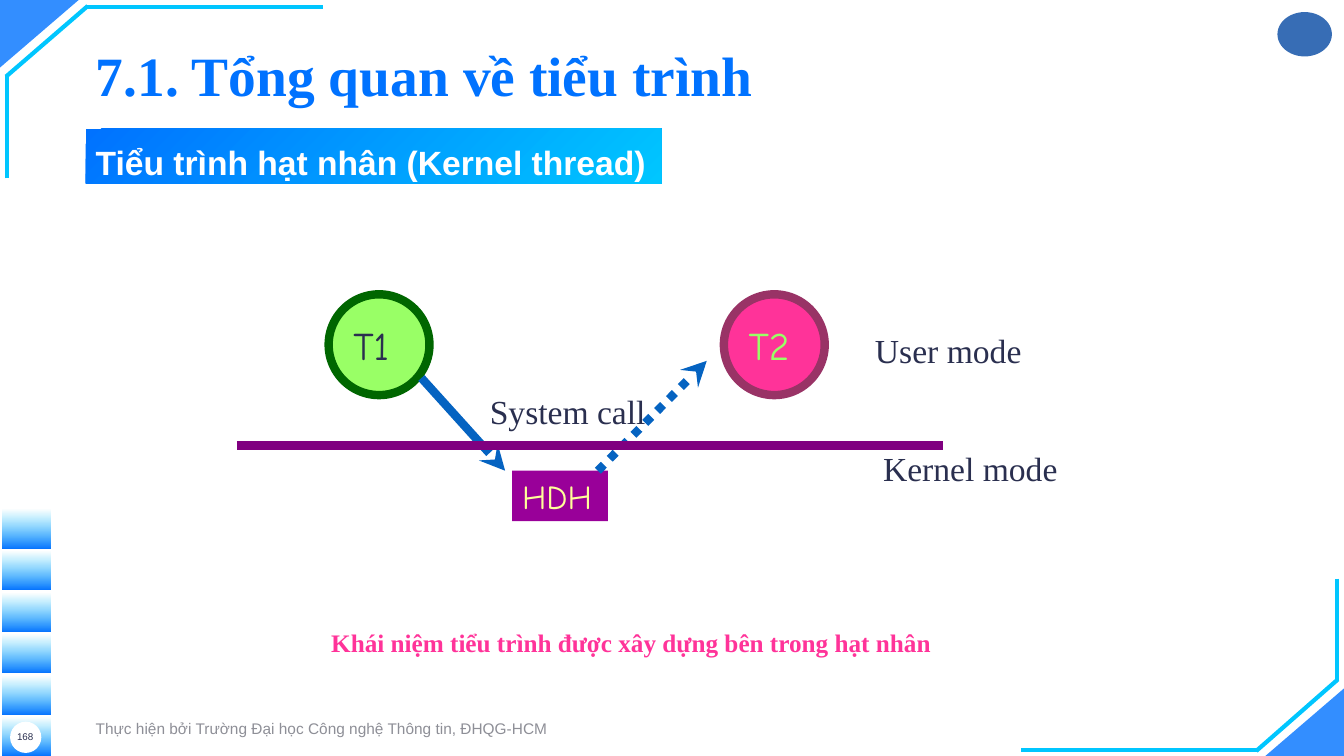
from dataclasses import dataclass
from typing import Optional

from lxml.etree import SubElement
from pptx import Presentation
from pptx.dml.color import RGBColor
from pptx.enum.dml import MSO_LINE as Dash
from pptx.enum.shapes import MSO_CONNECTOR as Connector, MSO_SHAPE as Preset
from pptx.enum.text import MSO_ANCHOR as Anchor, MSO_AUTO_SIZE as AutoSize, PP_ALIGN as Align
from pptx.oxml.ns import qn
from pptx.util import Inches, Pt

COLORS = {
    "blue": "0072FF", "cyan": "00C6FF", "emblem": "376DB5", "white": "FFFFFF",
    "ink": "2A2F4F", "gray": "8E8F97", "pink": "FF3399", "plum": "993366",
    "lime": "99FF66", "green": "006600", "violet": "990099", "purple": "800080",
    "yellow": "FFFF99", "arrow": "0563C1",
}
SERIF, SANS, COMIC = "Times New Roman", "Arial", "Comic Neue"


@dataclass
class Block:
    """A filled preset shape; a second fill colour makes a gradient."""
    box: tuple
    fill: str
    preset: Preset = Preset.RECTANGLE
    fill_to: Optional[str] = None
    angle: float = 0
    outline: Optional[str] = None


@dataclass
class Stroke:
    start: tuple
    end: tuple
    color: str = "cyan"
    width: float = 3
    dash: Optional[Dash] = None
    arrow: bool = False


@dataclass
class Label:
    text: str
    size: float
    color: str
    font: str = SERIF
    bold: bool = False
    align: Align = Align.LEFT
    anchor: Anchor = Anchor.TOP
    wrap: bool = False


def rgb(name: str) -> RGBColor:
    return RGBColor.from_string(COLORS[name])


def fill_gradient(fill, first: str, last: str, angle: float) -> None:
    fill.gradient()
    fill.gradient_angle = angle
    for stop, name in zip(fill.gradient_stops, (first, last)):
        stop.color.rgb = rgb(name)


def set_opacity(shape, percent: int) -> None:
    """Apply the opacity to the last colour of the shape's fill."""
    color = shape._element.spPr.findall(".//" + qn("a:srgbClr"))[-1]
    SubElement(color, qn("a:alpha")).set("val", str(percent * 1000))


def draw_block(slide, block: Block):
    shape = slide.shapes.add_shape(block.preset, *map(Inches, block.box))
    shape.shadow.inherit = False
    if block.fill_to:
        fill_gradient(shape.fill, block.fill, block.fill_to, block.angle)
    else:
        shape.fill.solid()
        shape.fill.fore_color.rgb = rgb(block.fill)
    if block.outline:
        shape.line.color.rgb = rgb(block.outline)
        shape.line.width = Pt(6)
    else:
        shape.line.fill.background()
    return shape


def draw_stroke(slide, stroke: Stroke) -> None:
    line = slide.shapes.add_connector(
        Connector.STRAIGHT, *map(Inches, stroke.start + stroke.end))
    line.line.color.rgb = rgb(stroke.color)
    line.line.width = Pt(stroke.width)
    if stroke.dash:
        line.line.dash_style = stroke.dash
    properties = line._element.spPr
    if stroke.arrow:
        SubElement(properties.find(qn("a:ln")), qn("a:tailEnd")).set("type", "stealth")
    SubElement(properties, qn("a:effectLst"))


def write(shape, label: Label):
    """Put the label into the shape and return its paragraph."""
    frame = shape.text_frame
    frame.word_wrap = label.wrap
    frame.auto_size = AutoSize.NONE
    frame.vertical_anchor = label.anchor
    paragraph = frame.paragraphs[0]
    paragraph.text = label.text
    paragraph.alignment = label.align
    font = paragraph.font
    font.name, font.size, font.bold = label.font, Pt(label.size), label.bold
    font.color.rgb = rgb(label.color)
    return paragraph


def draw_label(slide, box: tuple, label: Label) -> None:
    write(slide.shapes.add_textbox(*map(Inches, box)), label)


def draw_frame(slide) -> None:
    """Draw the corner ornaments, the side ladder and the emblem."""
    corner_lines = [
        Stroke((3.2, 0.07), (0.85, 0.07)),
        Stroke((0.87, 0.06), (0.06, 0.76)),
        Stroke((0.07, 1.77), (0.07, 0.74)),
        Stroke((10.13, 7.44), (12.48, 7.44)),
        Stroke((12.46, 7.45), (13.27, 6.74)),
        Stroke((13.26, 5.74), (13.26, 6.76)),
    ]
    for left, top, rotation in ((0, 0, 180), (12.55, 6.83, 0)):
        corner = draw_block(slide, Block((left, top, 0.78, 0.67), "blue",
                                         Preset.ISOSCELES_TRIANGLE))
        corner.adjustments[0] = 1
        corner.rotation = rotation
        set_opacity(corner, 80)
    for stroke in corner_lines:
        draw_stroke(slide, stroke)
    for step in range(6):
        rung = draw_block(slide, Block((0.02, 5.06 + step * 0.412, 0.48, 0.38), "blue",
                                       fill_to="cyan", angle=90))
        set_opacity(rung, 0)
    draw_block(slide, Block((12.67, 0.12, 0.54, 0.44), "emblem", Preset.OVAL))
    draw_block(slide, Block((0.1, 7.16, 0.31, 0.31), "white", Preset.OVAL))


def draw_headings(slide) -> None:
    title = slide.shapes.title
    title.left, title.top, title.width, title.height = map(Inches, (0.85, 0.24, 11.57, 0.86))
    heading = write(title, Label("7.1. Tổng quan về tiểu trình", 39.6, "blue", bold=True,
                                 anchor=Anchor.MIDDLE, wrap=True))
    fill_gradient(heading.font.fill, "blue", "cyan", 315)
    banner = draw_block(slide, Block((0.85, 1.28, 5.71, 0.54), "blue",
                                     fill_to="cyan", angle=315))
    subheading = write(banner, Label("Tiểu trình hạt nhân (Kernel thread)", 24, "white",
                                     SANS, bold=True))
    for paragraph in (heading, subheading):
        paragraph.line_spacing = 1.2
        paragraph.space_after = Pt(2)


def draw_diagram(slide) -> None:
    nodes = [
        (Block((3.26, 2.92, 1, 1), "lime", Preset.OVAL, outline="green"),
         Label("T1", 28, "ink", COMIC, anchor=Anchor.MIDDLE)),
        (Block((7.18, 2.92, 1, 1), "pink", Preset.OVAL, outline="plum"),
         Label("T2", 28, "lime", COMIC, anchor=Anchor.MIDDLE)),
        (Block((5.08, 4.67, 0.95, 0.5), "violet"), Label("HDH", 24, "yellow", COMIC)),
    ]
    for block, label in nodes:
        write(draw_block(slide, block), label)
    for stroke in (
        Stroke((4.18, 3.75), (5.01, 4.67), "arrow", 6, arrow=True),
        Stroke((5.93, 4.67), (7.01, 3.58), "arrow", 6, Dash.ROUND_DOT, True),
        Stroke((2.35, 4.42), (9.35, 4.42), "purple", 6),
    ):
        draw_stroke(slide, stroke)
    for text, left, top, width in (("System call", 4.76, 3.83, 1.75),
                                   ("User mode", 8.58, 3.22, 1.66),
                                   ("Kernel mode", 8.66, 4.39, 1.94)):
        draw_label(slide, (left, top, width, 0.5), Label(text, 24, "ink"))
    draw_label(slide, (2.01, 6.17, 8.5, 0.92),
               Label("Khái niệm tiểu trình được xây dựng bên trong hạt nhân", 18, "pink",
                     bold=True, align=Align.CENTER, wrap=True))


def draw_footer(slide) -> None:
    draw_label(slide, (0.85, 7.08, 4.72, 0.29),
               Label("Thực hiện bởi Trường Đại học Công nghệ Thông tin, ĐHQG-HCM", 11, "gray",
                     SANS, anchor=Anchor.MIDDLE, wrap=True))
    draw_label(slide, (0.06, 7.12, 0.38, 0.38),
               Label("168", 7, "ink", SANS, align=Align.CENTER, anchor=Anchor.MIDDLE,
                     wrap=True))


def main() -> None:
    deck = Presentation()
    deck.slide_width, deck.slide_height = Inches(13.33), Inches(7.5)
    slide = deck.slides.add_slide(deck.slide_layouts[5])
    draw_frame(slide)
    draw_headings(slide)
    draw_footer(slide)
    draw_diagram(slide)
    deck.save("out.pptx")


if __name__ == "__main__":
    main()
